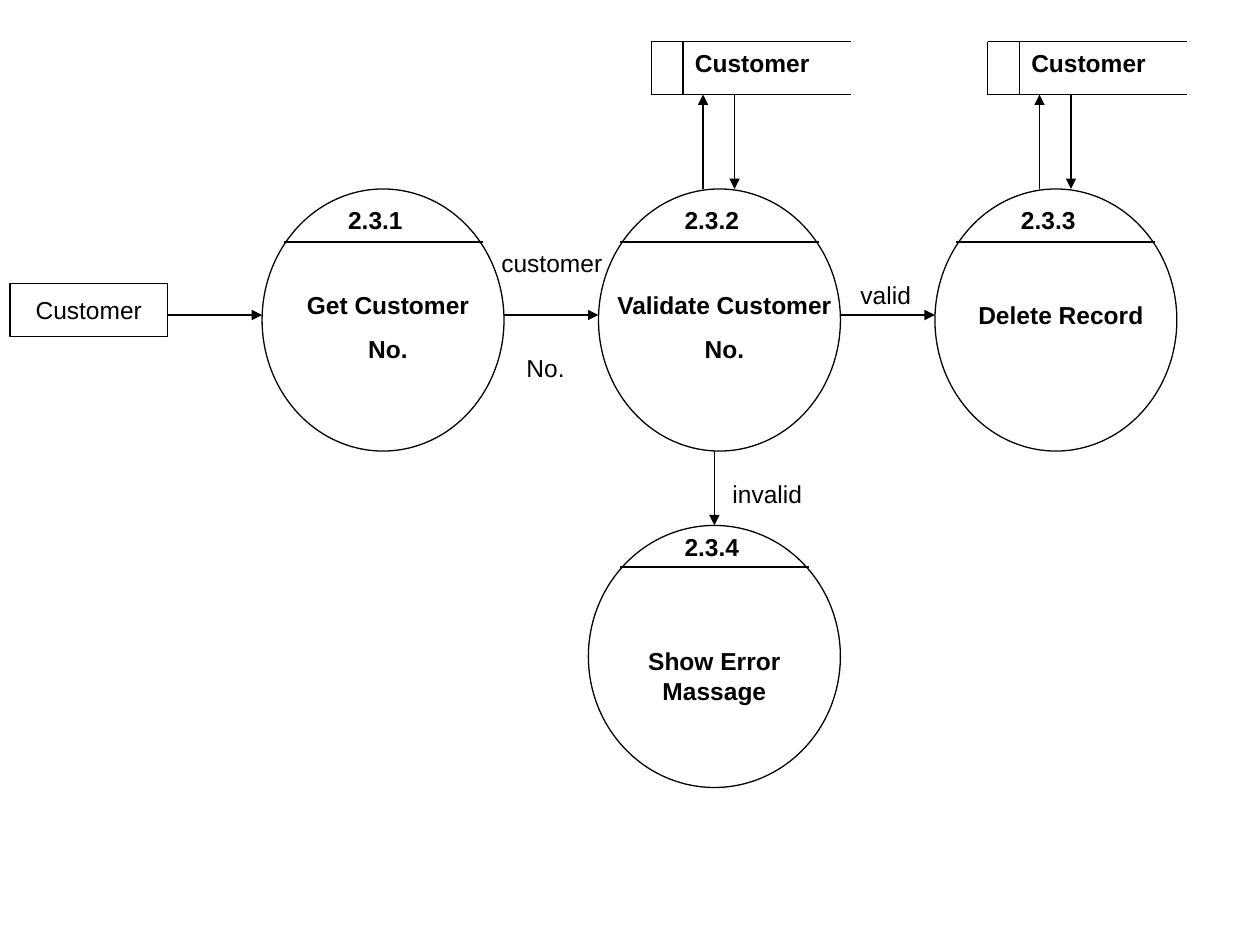
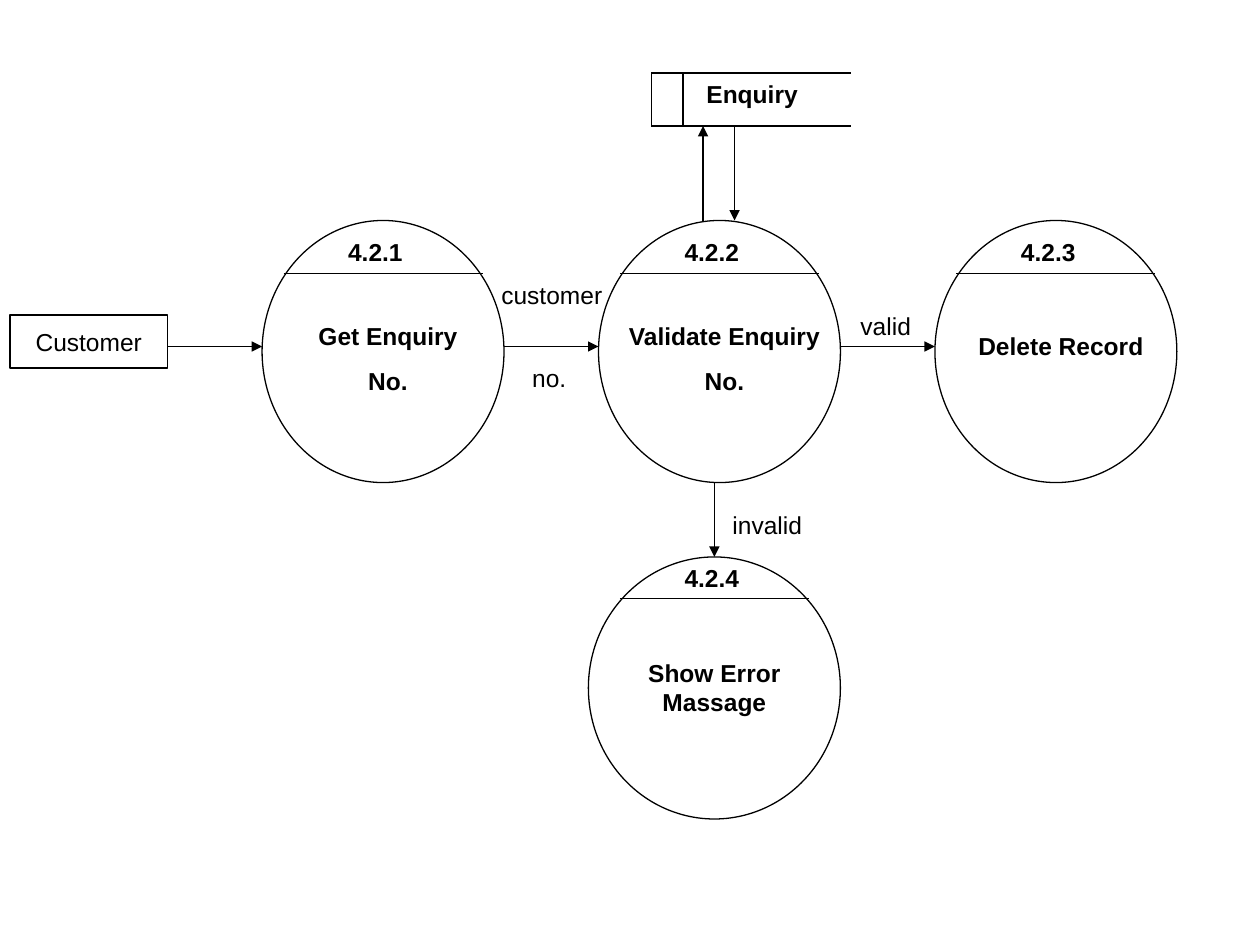
from dataclasses import dataclass

from lxml import etree
from pptx import Presentation
from pptx import util as u
from pptx.dml.color import RGBColor
from pptx.enum import shapes, text
from pptx.oxml.ns import qn

INK, PAPER = "000000", "FFFFFF"
FONT, TEXT_SIZE, LINE_WIDTH = "Arial", u.Pt(14), u.Pt(0.75)
FIRST_LEFT, STEP = 2.08, 2.67  # left edge and spacing of the circles in the row
CIRCLE_HEIGHT, FLOW_DROP = 2.08, 1.0  # the flow runs FLOW_DROP below the row's top
ERROR_DROP = 2.67  # from the row's top to the error circle
BAR_HEIGHT = 0.42
LINE_HEIGHT = 0.34


@dataclass(frozen=True)
class Process:
    """A numbered circle; the chord and texts are offsets from its corner."""
    number: str
    title: str
    left: float
    top: float
    title_drop: float = 0.75
    width: float = 1.92
    chord_start: float = 0.17
    chord_drop: float = 0.42
    number_centre: float = 0.9
    number_drop: float = 0.08


@dataclass(frozen=True)
class Diagram:
    prefix: str
    subject: str
    top: float
    stores: tuple[int, ...]  # row positions that use the data store
    number_label: str
    number_label_centre: float
    number_label_drop: float
    error_title_drop: float


DIAGRAMS = [
    Diagram("2.3", "Customer", 1.5, (1, 2), "No.", 4.33, 1.25, 0.91),
    Diagram("4.2", "Enquiry", 1.75, (1,), "no.", 4.36, 1.08, 0.75),
]


def colour(value: str) -> RGBColor:
    return RGBColor.from_string(value)


def write(shape, content: str, *, bold: bool = False, wrap: bool = False,
          anchor=text.MSO_ANCHOR.TOP, space: float = 8.8) -> None:
    """Fill a shape with centred paragraphs, one for each line of content."""
    frame = shape.text_frame
    frame.word_wrap = wrap
    frame.vertical_anchor = anchor
    frame.text = content
    for index, paragraph in enumerate(frame.paragraphs):
        paragraph.alignment = text.PP_ALIGN.CENTER
        paragraph.space_before = u.Pt(space if index else 0)
        font = paragraph.font
        font.name, font.size, font.bold = FONT, TEXT_SIZE, bold
        font.color.rgb = colour(INK)


def label(slide, content: str, centre: float, top: float, *,
          width: float = 1.2, **style) -> None:
    box = slide.shapes.add_textbox(u.Inches(centre - width / 2), u.Inches(top),
                                   u.Inches(width), u.Inches(LINE_HEIGHT))
    write(box, content, **style)


def outline(slide, kind, left: float, top: float, width: float, height: float):
    shape = slide.shapes.add_shape(kind, u.Inches(left), u.Inches(top),
                                   u.Inches(width), u.Inches(height))
    shape.shadow.inherit = False
    shape.fill.solid()
    shape.fill.fore_color.rgb = colour(PAPER)
    shape.line.color.rgb = colour(INK)
    shape.line.width = LINE_WIDTH
    return shape


def rule(slide, x1: float, y1: float, x2: float, y2: float, *, arrow: bool = False) -> None:
    connector = slide.shapes.add_connector(
        shapes.MSO_CONNECTOR.STRAIGHT, *(u.Inches(v) for v in (x1, y1, x2, y2)))
    connector.line.color.rgb = colour(INK)
    connector.line.width = LINE_WIDTH
    properties = connector.element.spPr
    if arrow:
        etree.SubElement(properties.find(qn("a:ln")), qn("a:tailEnd"), type="triangle")
    etree.SubElement(properties, qn("a:effectLst"))


def draw_process(slide, process: Process) -> None:
    left, top = process.left, process.top
    outline(slide, shapes.MSO_SHAPE.OVAL, left, top, process.width, CIRCLE_HEIGHT)
    chord_y = top + process.chord_drop
    rule(slide, left + process.chord_start, chord_y, left + 1.75, chord_y)
    label(slide, process.number, left + process.number_centre,
          top + process.number_drop, bold=True)
    label(slide, process.title, left + 1, top + process.title_drop,
          width=2, bold=True, wrap=True)


def draw_store(slide, name: str, circle_left: float, circle_top: float) -> None:
    """Open-ended data store above a circle, with a read and a write arrow."""
    left, right = circle_left + 0.42, circle_left + 2
    bottom = circle_top - 0.75
    top = bottom - BAR_HEIGHT
    for y in (top, bottom):
        rule(slide, left, y, right, y)
    for x in (left, left + 0.25):
        rule(slide, x, top, x, bottom)
    label(slide, name, left + 0.8, top, bold=True)
    rule(slide, left + 0.41, circle_top, left + 0.41, bottom, arrow=True)
    rule(slide, left + 0.66, bottom, left + 0.66, circle_top, arrow=True)


def draw_diagram(slide, diagram: Diagram) -> None:
    top = diagram.top
    flow_y = top + FLOW_DROP
    lefts = [FIRST_LEFT + STEP * i for i in range(3)]

    # Process circles
    titles = [f"Get {diagram.subject}\nNo.", f"Validate {diagram.subject}\nNo.",
              "Delete Record"]
    for i, (left, title) in enumerate(zip(lefts, titles)):
        drop = 0.75 if "\n" in title else 0.83
        draw_process(slide, Process(f"{diagram.prefix}.{i + 1}", title, left, top, drop))
    error_top = top + ERROR_DROP
    draw_process(slide, Process(
        f"{diagram.prefix}.4", "Show Error Massage", 4.67, error_top,
        diagram.error_title_drop, width=2, chord_start=0.25, chord_drop=0.33,
        number_centre=0.98, number_drop=0))

    # External entity
    entity = outline(slide, shapes.MSO_SHAPE.RECTANGLE, 0.08, top + 0.75, 1.25, BAR_HEIGHT)
    write(entity, "Customer", anchor=text.MSO_ANCHOR.MIDDLE)

    # Flow arrows: along the row, then down to the error circle
    for left in lefts:
        rule(slide, left - 0.75, flow_y, left, flow_y, arrow=True)
    rule(slide, 5.67, top + CIRCLE_HEIGHT, 5.67, error_top, arrow=True)

    # Flow labels
    label(slide, "customer", 4.38, top + 0.42)
    label(slide, diagram.number_label, diagram.number_label_centre,
          top + diagram.number_label_drop)
    label(slide, "valid", 7.03, top + 0.67)
    label(slide, "invalid", 6.09, top + 2.25)

    # Data stores
    for position in diagram.stores:
        draw_store(slide, diagram.subject, lefts[position], top)


def main() -> None:
    deck = Presentation()
    deck.slide_width, deck.slide_height = u.Inches(10), u.Inches(7.5)
    for diagram in DIAGRAMS:
        draw_diagram(deck.slides.add_slide(deck.slide_layouts[6]), diagram)
    deck.save("out.pptx")


if __name__ == "__main__":
    main()
